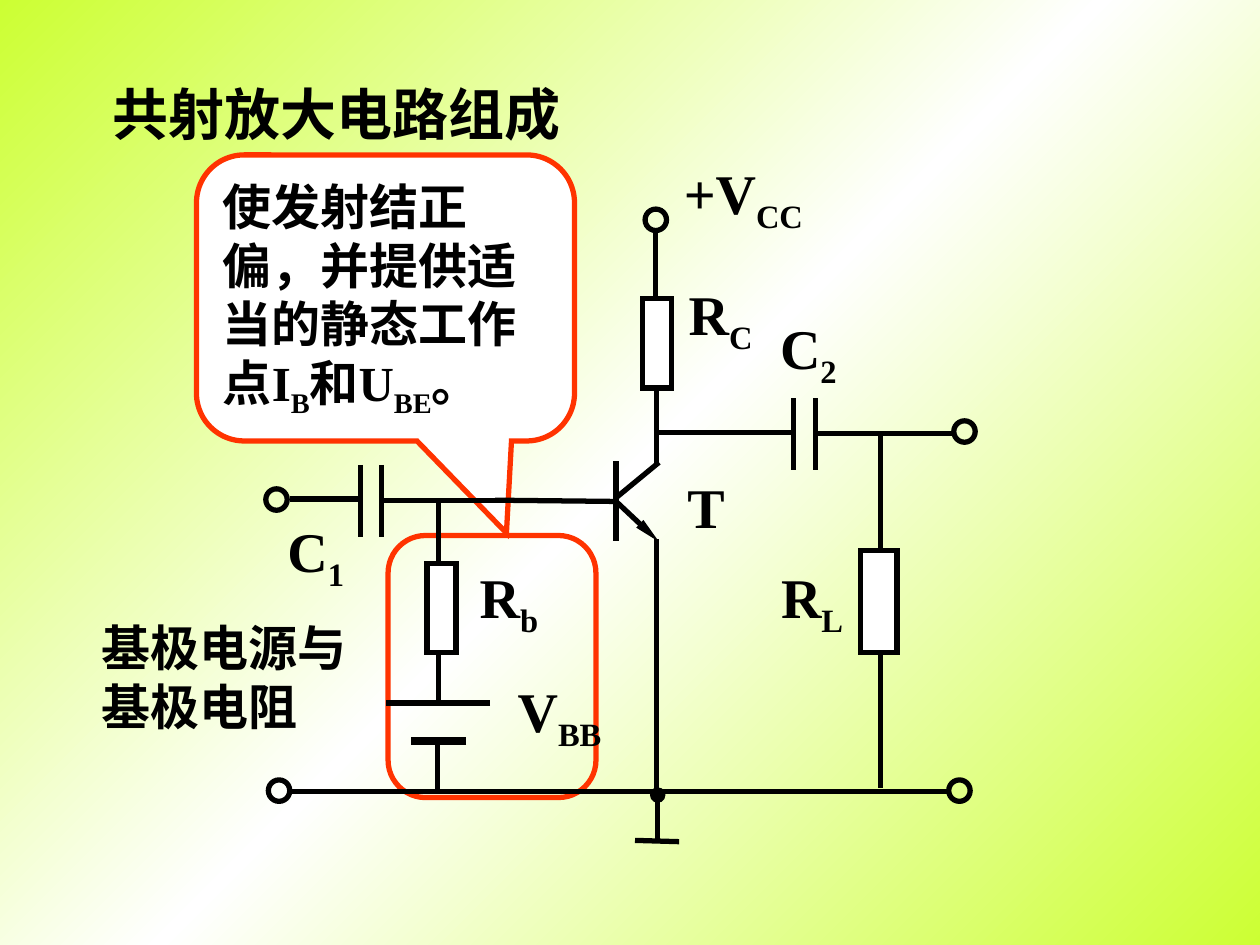
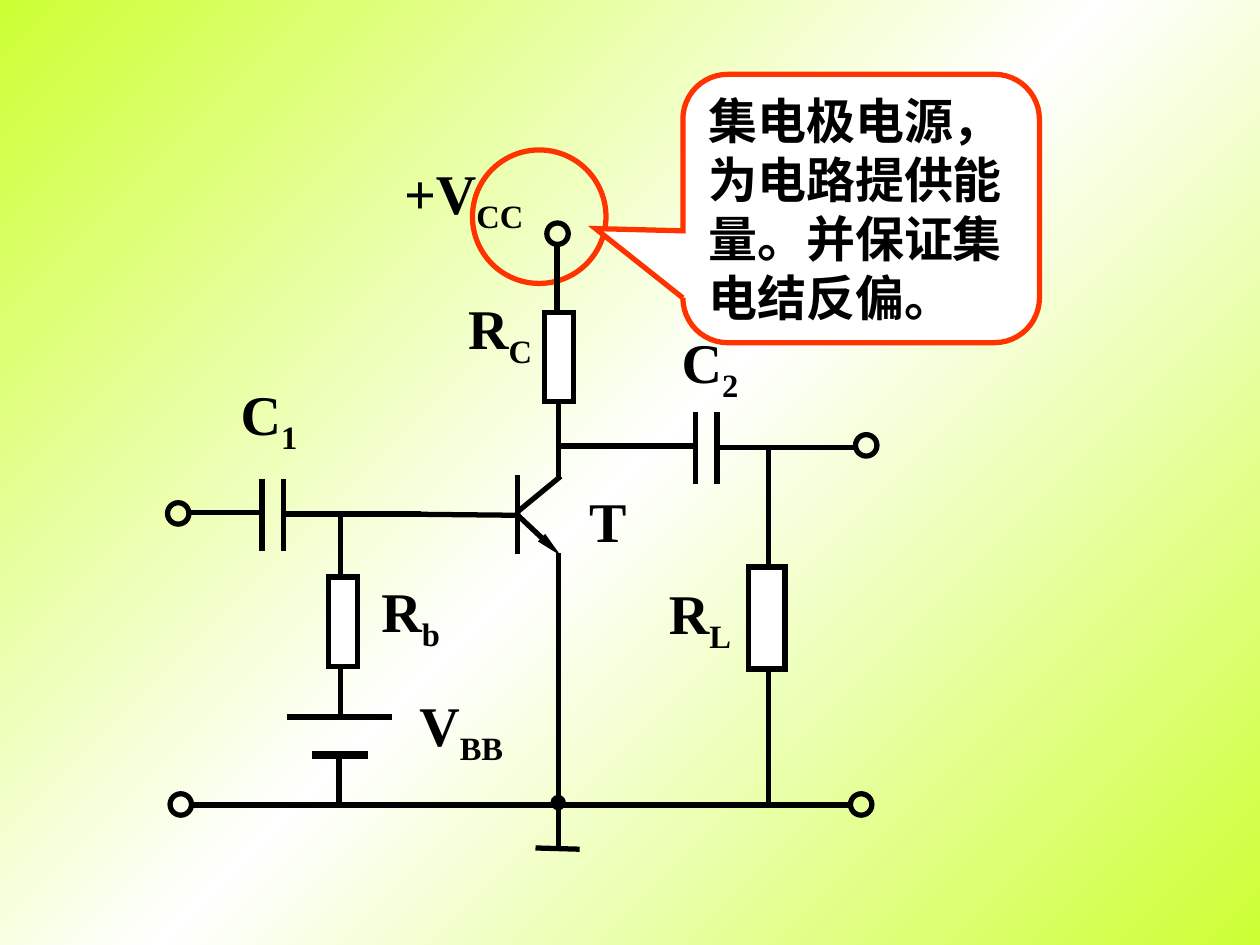
import copy

import lxml.etree
import pptx
import pptx.dml.color
import pptx.enum.shapes
import pptx.enum.text
import pptx.oxml.ns
import pptx.util

PX = 9144  # EMU in one px, 100 px to the inch
LIME = pptx.dml.color.RGBColor(0xCC, 0xFF, 0x33)
WHITE = pptx.dml.color.RGBColor(0xFF, 0xFF, 0xFF)
BLACK = pptx.dml.color.RGBColor(0x00, 0x00, 0x00)
RED = pptx.dml.color.RGBColor(0xFF, 0x33, 0x00)

SHAPES = pptx.enum.shapes.MSO_SHAPE
STRAIGHT = pptx.enum.shapes.MSO_CONNECTOR.STRAIGHT
LEFT = pptx.enum.text.PP_ALIGN.LEFT
CENTER = pptx.enum.text.PP_ALIGN.CENTER
FONT = {"name": "Times New Roman", "bold": True}
FRAME = {
    "vertical_anchor": pptx.enum.text.MSO_ANCHOR.MIDDLE,
    "auto_size": pptx.enum.text.MSO_AUTO_SIZE.NONE,
    "margin_left": 10 * PX, "margin_right": 10 * PX,
    "margin_top": 5 * PX, "margin_bottom": 5 * PX,
}
LINE_WIDTH = pptx.util.Pt(3)
TERMINAL = 17  # diameter of an open terminal

# Circuit parts; each slide shifts them as a whole
WIRES = [  # x1, y1, x2, y2
    (348, 491, 348, 547),  # base branch
    (348, 503, 348, 396),
    (348, 526, 348, 557),
    (389, 558, 306, 558),  # battery, long plate
    (347, 589, 347, 620),
    (347, 605, 347, 628),
    (302, 397, 412, 397),  # base wire
    (393, 397, 491, 398),
    (489, 366, 489, 429),  # transistor
    (489, 395, 523, 367),
    (520, 236, 520, 183),  # collector
    (521, 315, 521, 269),
    (521, 268, 521, 369),
    (521, 428, 521, 542),  # emitter
    (521, 519, 521, 631),
    (230, 628, 327, 628),  # ground rail
    (325, 628, 643, 628),
    (503, 628, 754, 628),
    (230, 396, 285, 396),  # input capacitor
    (286, 369, 286, 426),
    (303, 369, 303, 426),
    (519, 343, 630, 343),  # output capacitor
    (630, 316, 630, 373),
    (647, 316, 647, 373),
    (758, 344, 646, 344),
]
EARTH_WIRES = [(522, 633, 522, 669), (504, 667, 539, 668)]
EARTH_DOT = (518, 627, 8, 8)
SHORT_PLATE = (370, 588, 326, 588)
EMITTER_ARROW = (489, 398, 523, 430)
LOAD_WIRE = (699, 344, 699, 625)
TERMINALS = [(512, 166), (211, 388), (213, 619), (757, 334), (753, 619)]
RESISTORS = [(510, 237, 23, 71), (339, 447, 23, 71)]
LOAD = (683, 437, 29, 81)
LABELS = [  # runs (every second one is a subscript), box
    (("R", "b"), (371, 441, 66, 71)),
    (("V", "BB"), (401, 532, 86, 71)),
    (("C", "2"), (609, 244, 65, 71)),
    (("T",), (536, 370, 49, 64)),
]
LOAD_LABEL = (("R", "L"), (610, 441, 85, 71))

PAGES = [
    {
        "shift": (0, 0), "load_shift": (0, 0), "earth_shift": (0, 0),
        "highlight": (SHAPES.ROUNDED_RECTANGLE, (308, 425, 165, 208), [0.18]),
        "callout": (156, 123, 300, 227), "tail": (0.32, 0.822, 0.167),
        "callout_text": ("使发射结正偏，并提供适当的静态工作点I", "B", "和U", "BE", "。"),
        "own_labels": [
            (("+V", "CC"), (533, 121, 114, 71)),
            (("R", "C"), (537, 217, 70, 71)),
            (("C", "1"), (218, 405, 65, 71)),
        ],
        "headings": [
            ("共射放大电路组成", (79, 58, 376, 64), 32, CENTER, False),
            ("基极电源与基极电阻", (71, 485, 220, 104), 28, LEFT, True),
        ],
    },
    {
        "shift": (-78, 11), "load_shift": (-89, 13), "earth_shift": (-79, 6),
        "highlight": (SHAPES.OVAL, (375, 119, 106, 106), []),
        "callout": (542, 59, 283, 213), "tail": (-0.745, 0.075, 0.167),
        "callout_text": ("集电极电源，为电路提供能量。并保证集电结反偏。",),
        "own_labels": [
            (("+V", "CC"), (311, 121, 114, 71)),
            (("R", "C"), (362, 228, 70, 71)),
            (("C", "1"), (181, 296, 65, 71)),
        ],
        "headings": [],
    },
]


def place_shape(page, kind, box, fill, color, shift=(0, 0)):
    x, y, width, height = box
    shape = page.shapes.add_shape(
        kind, (x + shift[0]) * PX, (y + shift[1]) * PX, width * PX, height * PX)
    shape.shadow.inherit = False
    if fill is None:
        shape.fill.background()
    else:
        shape.fill.solid()
        shape.fill.fore_color.rgb = fill
    shape.line.color.rgb = color
    shape.line.width = LINE_WIDTH
    # Sharp corners
    outline = shape._element.spPr.find(pptx.oxml.ns.qn("a:ln"))
    lxml.etree.SubElement(outline, pptx.oxml.ns.qn("a:miter"), lim="800000")
    return shape


def write_text(box, runs, size, align, wrap):
    frame = box.text_frame
    for key, value in FRAME.items():
        setattr(frame, key, value)
    frame.word_wrap = wrap
    para = frame.paragraphs[0]
    para.alignment = align
    # Punctuation stays inside the text area
    para._p.get_or_add_pPr().set("hangingPunct", "0")
    for index, text in enumerate(runs):
        span = para.add_run()
        span.text = text
        for key, value in FONT.items():
            setattr(span.font, key, value)
        span.font.size = pptx.util.Pt(size)
        span.font.color.rgb = BLACK
        if index % 2:
            span.font._element.set("baseline", "-25000")


deck = pptx.Presentation()
deck.slide_width = 1000 * PX
deck.slide_height = 750 * PX

for plan in PAGES:
    page = deck.slides.add_slide(deck.slide_layouts[6])
    shift, load_shift = plan["shift"], plan["load_shift"]
    earth_shift = plan["earth_shift"]

    # Diagonal gradient background
    background = page.background.fill
    background.gradient()
    background.gradient_angle = 315
    stop_list = page.element.find(".//" + pptx.oxml.ns.qn("a:gsLst"))
    stop_list.append(copy.deepcopy(stop_list[0]))
    for stop, color, position in zip(
            background.gradient_stops, (LIME, WHITE, LIME), (0, 0.5, 1)):
        stop.color.rgb = color
        stop.position = position

    # Highlight and callout
    kind, box, adjustments = plan["highlight"]
    highlight = place_shape(page, kind, box, None, RED)
    callout = place_shape(
        page, SHAPES.ROUNDED_RECTANGULAR_CALLOUT, plan["callout"], WHITE, RED)
    for shape, values in ((highlight, adjustments), (callout, plan["tail"])):
        for index, value in enumerate(values):
            shape.adjustments[index] = value
    write_text(callout, plan["callout_text"], 28, LEFT, True)

    # Wires
    wires = [(wire, shift) for wire in WIRES + [SHORT_PLATE, EMITTER_ARROW]]
    wires += [(wire, earth_shift) for wire in EARTH_WIRES]
    for wire, (dx, dy) in wires + [(LOAD_WIRE, load_shift)]:
        x1, y1, x2, y2 = wire
        connector = page.shapes.add_connector(
            STRAIGHT, (x1 + dx) * PX, (y1 + dy) * PX, (x2 + dx) * PX, (y2 + dy) * PX)
        connector.line.color.rgb = BLACK
        connector.line.width = pptx.util.Pt(4.5) if wire == SHORT_PLATE else LINE_WIDTH
        properties = connector._element.spPr
        if wire == EMITTER_ARROW:
            lxml.etree.SubElement(
                properties.find(pptx.oxml.ns.qn("a:ln")), pptx.oxml.ns.qn("a:tailEnd"),
                type="triangle", w="sm", len="lg")
        lxml.etree.SubElement(properties, pptx.oxml.ns.qn("a:effectLst"))

    # Terminals, resistors and earth dot
    for x, y in TERMINALS:
        place_shape(page, SHAPES.OVAL, (x, y, TERMINAL, TERMINAL), None, BLACK, shift)
    for resistor in RESISTORS:
        place_shape(page, SHAPES.RECTANGLE, resistor, WHITE, BLACK, shift)
    place_shape(page, SHAPES.RECTANGLE, LOAD, WHITE, BLACK, load_shift)
    place_shape(page, SHAPES.OVAL, EARTH_DOT, BLACK, BLACK, earth_shift)

    # Labels and headings
    texts = [(runs, box, shift, 32, CENTER, False) for runs, box in LABELS]
    texts.append((*LOAD_LABEL, load_shift, 32, LEFT, False))
    for runs, box in plan["own_labels"]:
        texts.append((runs, box, (0, 0), 32, CENTER, False))
    for text, box, size, align, wrap in plan["headings"]:
        texts.append(((text,), box, (0, 0), size, align, wrap))
    for runs, (x, y, width, height), (dx, dy), size, align, wrap in texts:
        label = page.shapes.add_textbox(
            (x + dx) * PX, (y + dy) * PX, width * PX, height * PX)
        write_text(label, runs, size, align, wrap)

deck.save("out.pptx")
